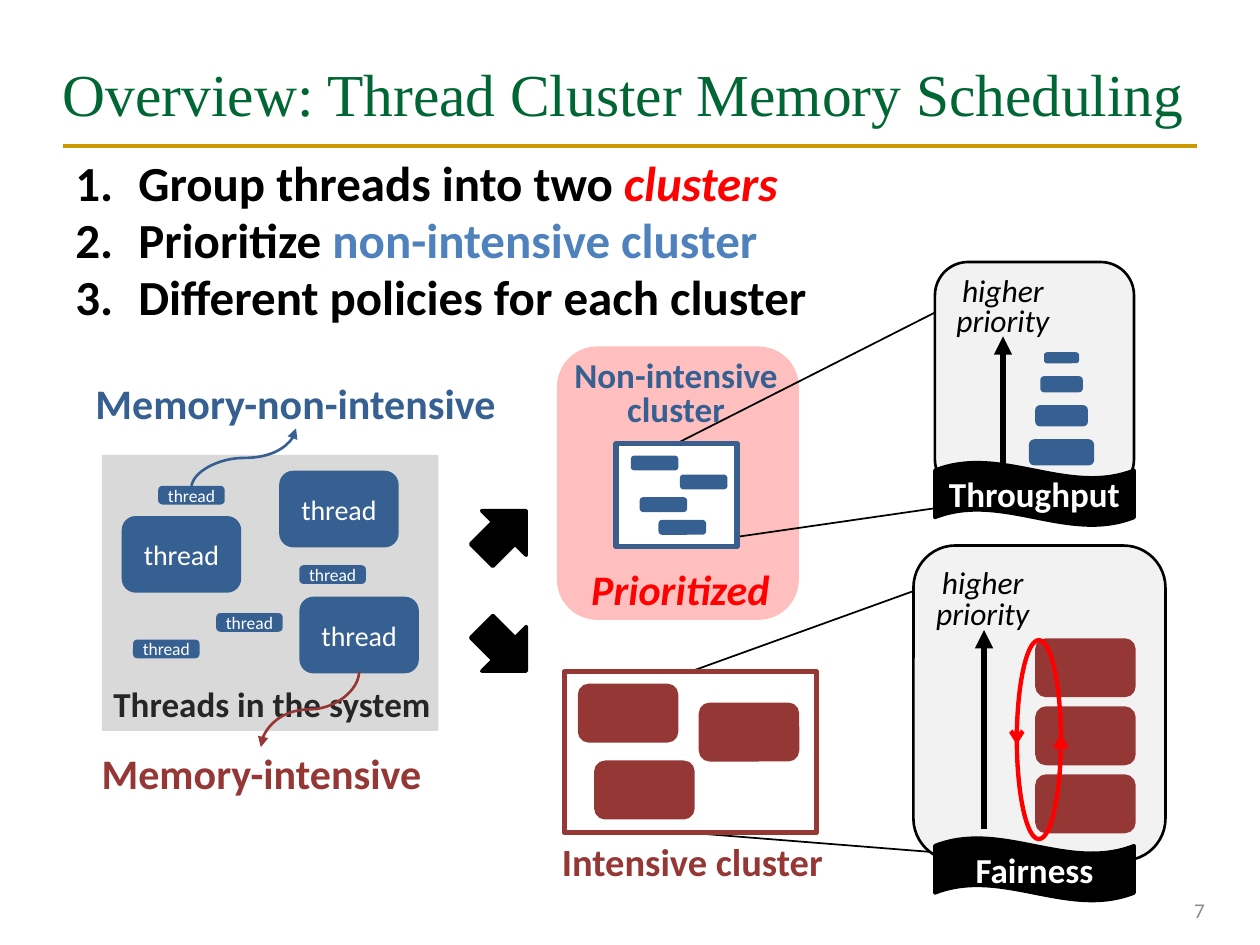
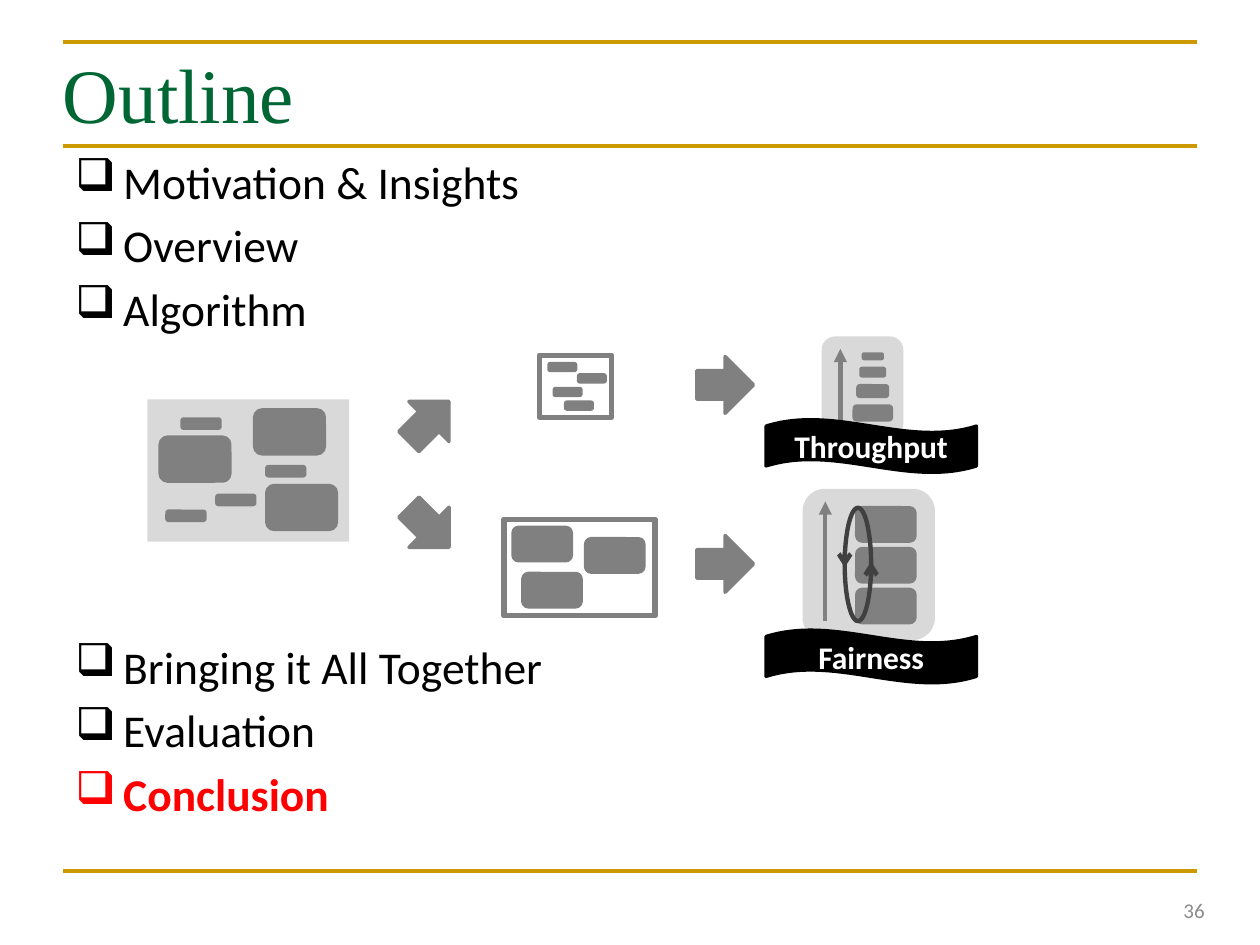
from dataclasses import dataclass
from typing import Any, Optional

from lxml.etree import SubElement
from pptx import Presentation
from pptx.dml.color import RGBColor
from pptx.enum.shapes import MSO_CONNECTOR as Link, MSO_SHAPE as Shape
from pptx.enum.text import MSO_ANCHOR as Anchor, PP_ALIGN as Align
from pptx.oxml.ns import qn
from pptx.util import Inches, Pt

COLUMNS, ROWS = 10, 7.5
CELL = Inches(1)


@dataclass(frozen=True)
class Theme:
    sans: str = "Calibri"
    serif: str = "Times New Roman"
    black: str = "000000"
    white: str = "FFFFFF"
    title: str = "006633"
    rule: str = "CC9900"
    page: str = "8C8C8C"
    accent: str = "FF0000"
    highlight: str = "4F81BD"
    caption: str = "262626"
    backdrop: str = "D9D9D9"
    rule_width: float = 2.25
    callout_width: float = 1
    curve_width: float = 1.5
    edge_width: float = 2
    cluster_width: float = 3
    loop_width: float = 2.5
    page_size: int = 12
    steps_size: int = 28
    outline_size: int = 26
    kind_size: int = 24
    label_size: int = 20
    cluster_size: int = 22
    priority_size: int = 18
    big_thread_size: int = 16
    small_thread_size: int = 10


@dataclass(frozen=True)
class Look:
    """Colours and weights of one version of the diagram."""
    light: str
    light_edge: str
    heavy: str
    panel: str
    panel_edge: Optional[str]
    flow: str
    priority: str
    loop: str
    priority_width: float
    banner_size: int
    thread_text: str = ""


THEME = Theme()
VIVID = Look("376092", "3A5F8C", "953735", "F2F2F2", "000000", "000000",
             "000000", "FF0000", 3.5, 20, "thread")
MUTED = Look("808080", "808080", "808080", "D9D9D9", None, "808080",
             "808080", "404040", 2.5, 18)


@dataclass(frozen=True)
class Frame:
    """An origin and scale on the slide grid, with the shapes drawn there."""
    shapes: Any
    x: float = 0
    y: float = 0
    scale: float = 1

    def point(self, x, y):
        return (round((self.x + x * self.scale) * CELL),
                round((self.y + y * self.scale) * CELL))

    def box(self, x, y, w, h):
        return (*self.point(x, y), round(w * self.scale * CELL), round(h * self.scale * CELL))

    def region(self, x, y, scale=1):
        return Frame(self.shapes, self.x + x * self.scale,
                     self.y + y * self.scale, self.scale * scale)

    def group(self):
        return Frame(self.shapes.add_group_shape().shapes, self.x, self.y, self.scale)


def rgb(value):
    return RGBColor.from_string(value)


def style_run(run, size, color=THEME.black, font=THEME.sans, bold=False, italic=False):
    values = {"size": Pt(size), "name": font, "bold": bold, "italic": italic}
    for name, value in values.items():
        setattr(run.font, name, value)
    run.font.color.rgb = rgb(color)


def write(holder, lines, size, align=Align.CENTER, anchor=Anchor.MIDDLE,
          inset=(0, 0.05), spacing=1.0, **style):
    """Each line is a string, or a list of (words, style changes) pairs."""
    frame = holder.text_frame
    side, top = (Inches(value) for value in inset)
    values = {"word_wrap": True, "vertical_anchor": anchor, "margin_left": side,
              "margin_right": side, "margin_top": top, "margin_bottom": top}
    for name, value in values.items():
        setattr(frame, name, value)
    for index, line_text in enumerate(lines):
        paragraph = frame.add_paragraph() if index else frame.paragraphs[0]
        paragraph.alignment = align
        paragraph.line_spacing = spacing
        runs = [(line_text, {})] if isinstance(line_text, str) else line_text
        for words, change in runs:
            run = paragraph.add_run()
            run.text = words
            style_run(run, size, **{**style, **change})


def label(frame, box, lines, size, **style):
    holder = frame.shapes.add_textbox(*frame.box(*box))
    write(holder, lines, size, **style)
    return holder


def block(frame, kind, box, fill=None, edge=None, width=THEME.edge_width, rotation=0):
    shape = frame.shapes.add_shape(kind, *frame.box(*box))
    shape.shadow.inherit = False
    shape.rotation = rotation
    if fill:
        shape.fill.solid()
        shape.fill.fore_color.rgb = rgb(fill)
    else:
        shape.fill.background()
    if edge:
        shape.line.color.rgb = rgb(edge)
        shape.line.width = Pt(width)
    else:
        shape.line.fill.background()
    return shape


def bar(frame, box, color):
    return block(frame, Shape.ROUNDED_RECTANGLE, box, color, color)


def line(frame, start, end, color, width, tip=None, kind=Link.STRAIGHT):
    link = frame.shapes.add_connector(kind, *frame.point(*start), *frame.point(*end))
    link.line.color.rgb = rgb(color)
    link.line.width = Pt(width)
    properties = link.element.spPr
    if tip:
        SubElement(properties.find(qn("a:ln")), qn("a:tailEnd"), type=tip)
    SubElement(properties, qn("a:effectLst"))
    return link


def upright_curve(frame, start, end, color):
    """A curve that leaves and arrives vertically: a sideways one, turned by 90°."""
    cx, cy = (start[0] + end[0]) / 2, (start[1] + end[1]) / 2
    turned = [(cx + y - cy, cy - x + cx) for x, y in (start, end)]
    link = line(frame, *turned, color, THEME.curve_width, "triangle", Link.CURVE)
    link.element.spPr.find(qn("a:xfrm")).set("rot", str(90 * 60000))


def bullets(holder, tag, attributes, indent, gap):
    for index, paragraph in enumerate(holder.text_frame.paragraphs):
        properties = paragraph._p.get_or_add_pPr()
        properties.set("marL", str(Inches(indent)))
        properties.set("indent", str(-Inches(indent)))
        paragraph.space_before = Pt(gap if index else 0)
        SubElement(properties, qn(tag), **attributes)


def base_slide(deck, title, title_size, page, rules):
    slide = deck.slides.add_slide(deck.slide_layouts[6])
    grid = Frame(slide.shapes)
    for y in rules:
        line(grid, (0.5, y), (COLUMNS - 0.5, y), THEME.rule, THEME.rule_width)
    label(grid, (0.5, 0.3, 9, 0.87), [title], title_size, align=Align.LEFT,
          color=THEME.title, font=THEME.serif)
    label(grid, (7.33, 7.02, 2.33, 0.4), [page], THEME.page_size, align=Align.RIGHT,
          inset=(0.1, 0.05), color=THEME.page)
    return grid


def thread_system(frame, look, height):
    block(frame, Shape.RECTANGLE, (0, 0, 2.67, height), THEME.backdrop)
    small = (0.5, 0.12), THEME.small_thread_size, [
        (0.92, 1.27), (0.46, 0.26), (1.58, 0.89), (0.26, 1.48)]
    big = (0.92, 0.58), THEME.big_thread_size, [(0.17, 0.5), (1.58, 1.14), (1.42, 0.14)]
    for extent, size, places in (small, big):
        for place in places:
            thread = bar(frame, (*place, *extent), look.light)
            if look.thread_text:
                write(thread, [look.thread_text], size, color=THEME.white)


def cluster(frame, extent, member, places, color, edge, fill=None):
    inner = frame.group()
    block(inner, Shape.RECTANGLE, (0, 0, *extent), fill, edge, THEME.cluster_width)
    for place in places:
        bar(inner, (*place, *member), color)


def light_cluster(frame, look, fill=None):
    cluster(frame, (0.96, 0.82), (0.35, 0.09),
            [(0.13, 0.11), (0.2, 0.44), (0.52, 0.26), (0.35, 0.62)],
            look.light, look.light_edge, fill)


def heavy_cluster(frame, look):
    cluster(frame, (2, 1.28), (0.77, 0.44),
            [(0.12, 0.11), (1.08, 0.26), (0.25, 0.72)], look.heavy, look.heavy)


def flow_arrow(frame, x, y, size, look, rotation=0):
    block(frame, Shape.RIGHT_ARROW, (x, y, size, size), look.flow, look.flow,
          rotation=rotation)


def policy_panel(grid, look, box, arrow):
    """A panel with its priority arrow, given as x, foot and tip."""
    block(grid, Shape.ROUNDED_RECTANGLE, box, look.panel, look.panel_edge, 1.5)
    x, foot, tip = arrow
    line(grid, (x, foot), (x, tip), look.priority, look.priority_width, "triangle")


def growing_stack(frame, look):
    for y, w, h in [(0, 0.25, 0.06), (0.19, 0.31, 0.1), (0.42, 0.39, 0.14), (0.69, 0.49, 0.18)]:
        bar(frame, ((0.49 - w) / 2, y, w, h), look.light)


def shuffled_stack(frame, look, loop_height):
    for row in range(3):
        bar(frame, (0, row * 0.54, 0.77, 0.44), look.heavy)
    left, width, middle = -0.16, 0.35, loop_height / 2
    block(frame, Shape.OVAL, (left, 0, width, loop_height), None, look.loop, THEME.loop_width)
    for x, step in ((left, 0.04), (left + width, -0.04)):
        line(frame, (x, middle - step), (x, middle + step), look.loop,
             THEME.loop_width, "arrow")


def banner(grid, look, box, words):
    wave = block(grid, Shape.WAVE, box, THEME.black, THEME.black)
    write(wave, [words], look.banner_size, inset=(0.1, 0.05), color=THEME.white, bold=True)


def overview_text(grid):
    steps = label(grid, (0.5, 1.25, 6.33, 1.5), [
        [("Group threads into two ", {}), ("clusters", {"color": THEME.accent, "italic": True})],
        [("Prioritize ", {}), ("non-intensive cluster", {"color": THEME.highlight})],
        "Different policies for each cluster",
    ], THEME.steps_size, align=Align.LEFT, anchor=Anchor.TOP, inset=(0.1, 0.05),
        spacing=0.8, bold=True)
    bullets(steps, "a:buAutoNum", {"type": "arabicPeriod"}, 0.5, 5.6)


def overview_labels(grid, look):
    top = {"anchor": Anchor.TOP, "inset": (0, 0), "bold": True}
    label(grid, (0.9, 5.42, 2.75, 0.34), ["Threads in the system"], THEME.label_size,
          align=Align.LEFT, color=THEME.caption, **top)
    for box, words, color in [((0.75, 3, 3.19, 0.4), "Memory-non-intensive", look.light),
                              ((0.67, 5.93, 2.81, 0.4), "Memory-intensive", look.heavy)]:
        label(grid, box, [words], THEME.kind_size, color=color, **top)
    label(grid, (4.49, 2.87, 1.75, 0.55), ["Non-intensive", "cluster"], THEME.label_size,
          spacing=0.8, color=look.light, **top)
    label(grid, (4.33, 6.72, 2.33, 0.3), ["Intensive cluster"], THEME.cluster_size,
          spacing=0.8, color=look.heavy, **top)
    label(grid, (4.58, 4.5, 1.64, 0.43), ["Prioritized"], THEME.kind_size, spacing=0.8,
          anchor=Anchor.TOP, color=THEME.accent, bold=True, italic=True)
    for x, y in [(7.53, 2.16), (7.37, 4.48)]:
        label(grid, (x, y, 0.86, 0.59), ["higher", "priority"], THEME.priority_size,
              spacing=0.8, anchor=Anchor.TOP, italic=True)


def overview_slide(deck):
    grid = base_slide(deck, "Overview: Thread Cluster Memory Scheduling", 34, "7", [1.16])
    look = VIVID
    glow = block(grid, Shape.ROUNDED_RECTANGLE, (4.42, 2.75, 1.92, 2.17), THEME.accent)
    tint = glow.element.spPr.find(qn("a:solidFill"))[0]
    SubElement(tint, qn("a:alpha"), val="25000")
    for start, end in [((8.21, 3.92), (5.37, 4.33)), ((8.25, 6.83), (5.48, 6.61)),
                       ((8.25, 4.33), (5.48, 5.33)), ((8.21, 2.08), (5.37, 3.52))]:
        line(grid, start, end, THEME.black, THEME.callout_width)
    overview_text(grid)
    thread_system(grid.region(0.81, 3.61), look, 2.19)
    heavy_cluster(grid.region(4.48, 5.33), look)
    light_cluster(grid.region(4.89, 3.52), look, THEME.white)
    flow_arrow(grid, 3.75, 3.98, 0.5, look, 315)
    flow_arrow(grid, 3.75, 4.9, 0.5, look, 45)
    policy_panel(grid, look, (7.42, 2.08, 1.58, 1.83), (7.96, 3.75, 2.67))
    growing_stack(grid.region(8.18, 2.81), look)
    policy_panel(grid, look, (7.25, 4.33, 2, 2.5), (7.81, 6.58, 5))
    shuffled_stack(grid.region(8.23, 5.08), look, 1.58)
    overview_labels(grid, look)
    upright_curve(grid, (1.52, 3.87), (2.35, 3.4), look.light)
    upright_curve(grid, (2.85, 5.33), (2.07, 5.93), look.heavy)
    for y, words in [(3.67, "Throughput"), (6.65, "Fairness")]:
        banner(grid, look, (7.42, y, 1.58, 0.5), words)


def outline_slide(deck):
    grid = base_slide(deck, "Outline", 44, "36", [0.33, 1.16, 6.91])
    look, scale = MUTED, 0.6
    for y, topics in [
        (1.17, ["Motivation & Insights", "Overview", "Algorithm"]),
        (5.02, ["Bringing it All Together", "Evaluation",
                [("Conclusion", {"color": THEME.accent, "bold": True})]]),
    ]:
        agenda = label(grid, (0.5, y, 9, 1.6), topics, THEME.outline_size,
                       align=Align.LEFT, anchor=Anchor.TOP, inset=(0.1, 0.05))
        bullets(agenda, "a:buChar", {"char": "❑"}, 0.38, 5.2)
    thread_system(grid.region(1.17, 3.17, scale), look, 1.88)
    heavy_cluster(grid.region(4, 4.12, scale), look)
    light_cluster(grid.region(4.28, 2.82, scale), look)
    for x, y, turn in [(3.18, 3.12, 315), (3.18, 3.96, 45), (5.53, 2.83, 0), (5.53, 4.25, 0)]:
        flow_arrow(grid, x, y, 0.45, look, turn)
    policy_panel(grid, look, (6.52, 2.67, 0.65, 0.8), (6.67, 3.37, 2.77))
    growing_stack(grid.region(6.78, 2.81, scale), look)
    policy_panel(grid, look, (6.37, 3.88, 1.05, 1.2), (6.55, 4.93, 3.98))
    shuffled_stack(grid.region(6.8, 4.03, scale), look, 1.5)
    for y, words in [(3.33, "Throughput"), (5, "Fairness")]:
        banner(grid, look, (6.08, y, 1.67, 0.42), words)


def main():
    deck = Presentation()
    deck.slide_width, deck.slide_height = COLUMNS * CELL, round(ROWS * CELL)
    overview_slide(deck)
    outline_slide(deck)
    deck.save("out.pptx")


if __name__ == "__main__":
    main()
